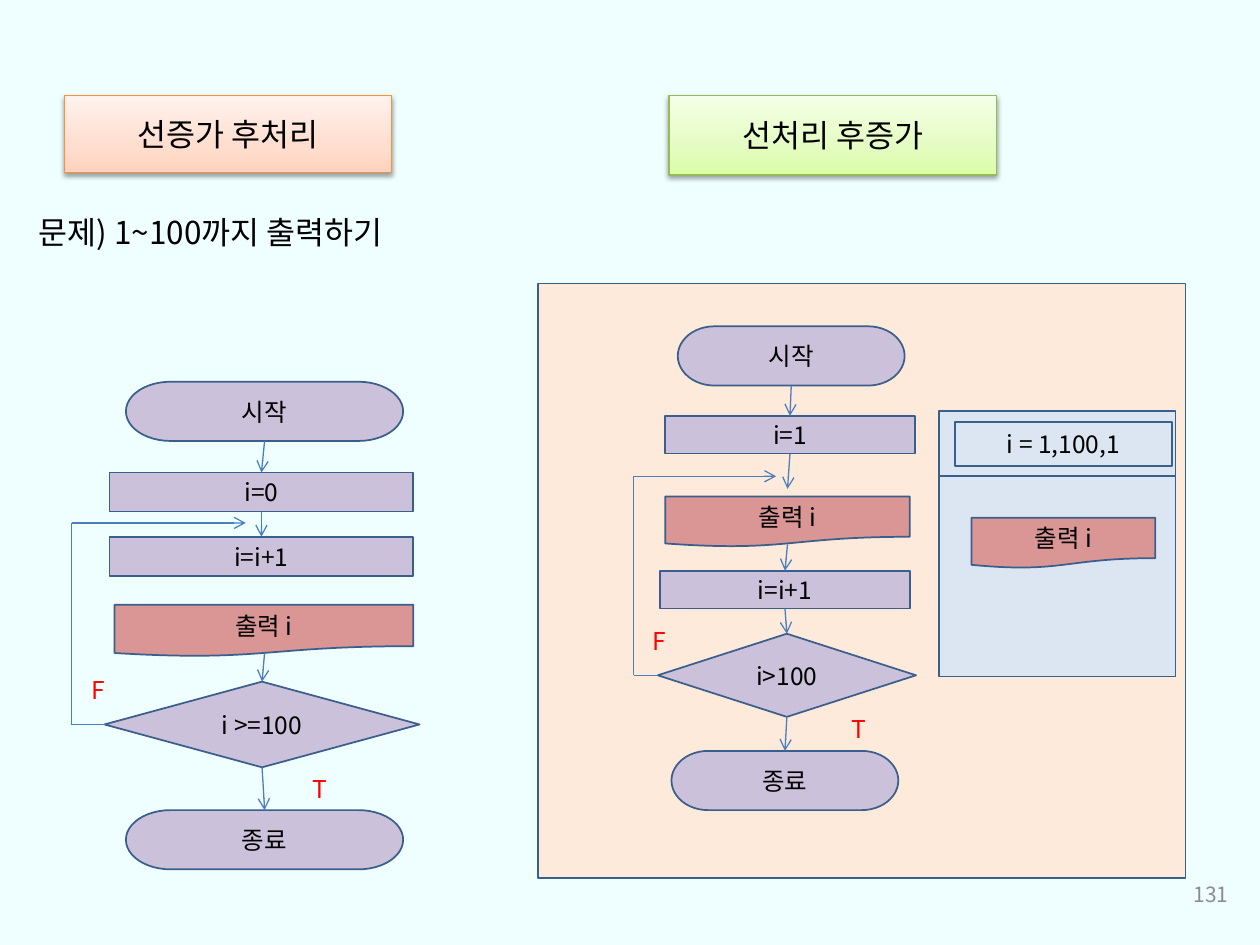
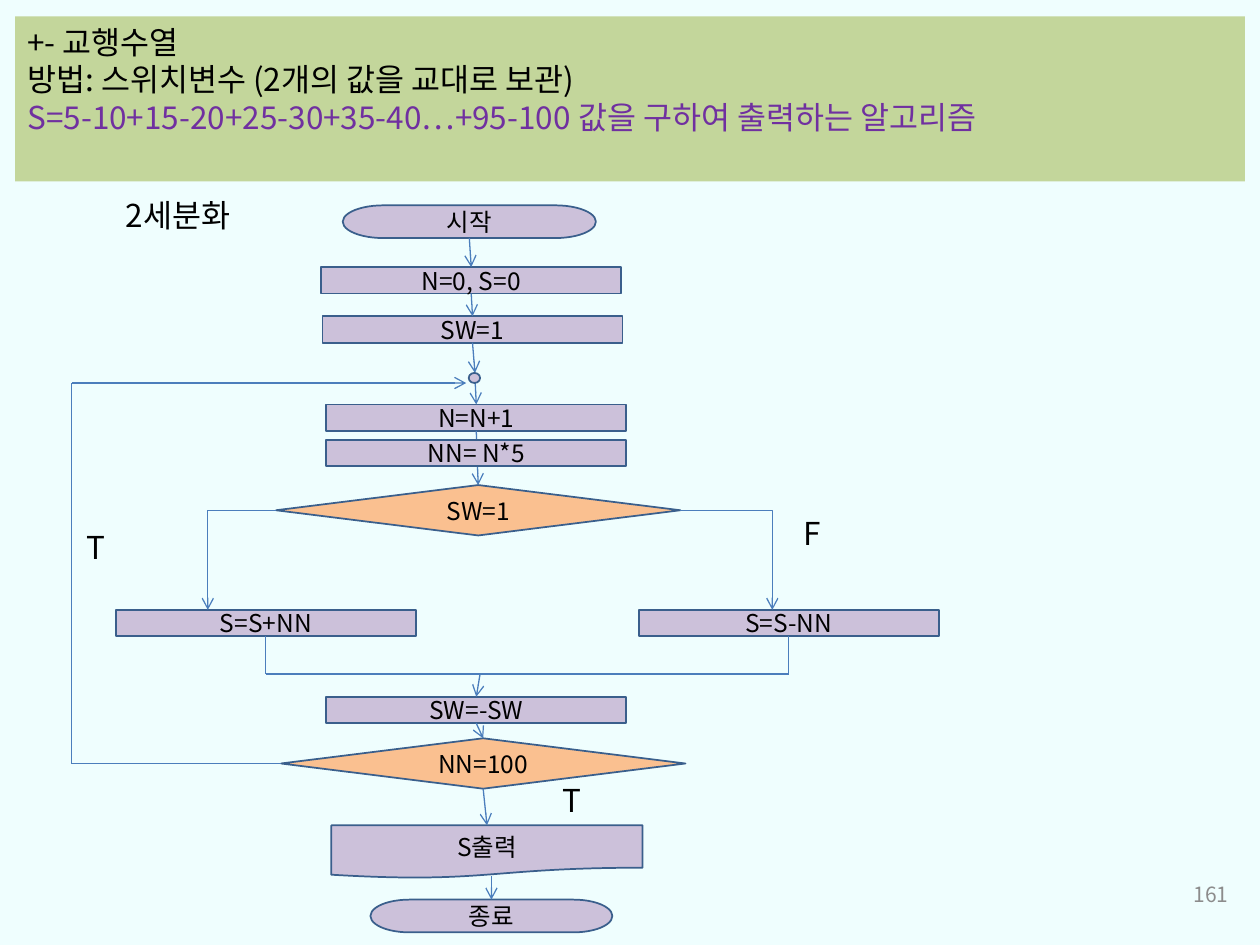
import copy

import lxml.etree
import pptx
import pptx.dml.color
import pptx.enum.shapes
import pptx.enum.text
import pptx.oxml.ns
import pptx.util

PX = 9144
FONT = "Noto Sans CJK KR"
NODE_SIZE = 14
COLOURS = {
    "page": "EFFEFE",
    "text": "000000",
    "number": "8C8C8C",
    "branch": "FF0000",
    "formula": "7030A0",
    "outline": "3A5F8C",
    "arrow": "4B7EBC",
    "step": "CCC1DA",
    "output": "D99694",
    "decision": "FAC090",
    "panel": "FDEADA",
    "loop": "DCE6F2",
    "band": "C3D69B",
    "orange_line": "F69240",
    "green_line": "98B955",
}
ORANGE = ("FFD2BD", "FFDED0", "FFF2ED")
GREEN = ("DAFDA7", "E4FCC2", "F5FFE7")
SHAPE = pptx.enum.shapes.MSO_SHAPE
CONNECTOR = pptx.enum.shapes.MSO_CONNECTOR
ALIGN = pptx.enum.text.PP_ALIGN
ANCHOR = pptx.enum.text.MSO_ANCHOR
TOP, LEFT, BOTTOM, RIGHT = range(4)


def rgb(name):
    return pptx.dml.color.RGBColor.from_string(COLOURS.get(name, name))


def add_xml(parent, tag, **attributes):
    return lxml.etree.SubElement(parent, pptx.oxml.ns.qn(tag), attributes)


def write_text(frame, text, size=18, colours=("text",), align=ALIGN.LEFT,
               anchor=ANCHOR.TOP, pitch=None):
    frame.word_wrap = True
    frame.vertical_anchor = anchor
    lines = text.split("\n")
    for index, line in enumerate(lines):
        paragraph = frame.paragraphs[0] if index == 0 else frame.add_paragraph()
        paragraph.alignment = align
        if pitch:
            paragraph.line_spacing = pptx.util.Pt(pitch)
        run = paragraph.add_run()
        run.text = line
        run.font.size = pptx.util.Pt(size)
        run.font.color.rgb = rgb(colours[min(index, len(colours) - 1)])
        run.font.name = FONT
        add_xml(run.font._element, "a:ea", typeface=FONT)


class FlowDeck:
    def __init__(self):
        self.deck = pptx.Presentation()
        self.deck.slide_width = 1000 * PX
        self.deck.slide_height = 750 * PX
        background = self.deck.slide_master.background.fill
        background.solid()
        background.fore_color.rgb = rgb("page")

    def page(self, number, label_size):
        self.slide = self.deck.slides.add_slide(self.deck.slide_layouts[6])
        self.label_size = label_size
        self.label(752, 690, 233, 40, number, size=12, colours=("number",),
                   align=ALIGN.RIGHT, anchor=ANCHOR.MIDDLE)

    def label(self, x, y, w, h, text, **style):
        area = self.slide.shapes.add_textbox(x * PX, y * PX, w * PX, h * PX)
        write_text(area.text_frame, text, **{"size": self.label_size, **style})

    def box(self, kind, x, y, w, h, text="", fill="step", line="outline", width=1, **style):
        box = self.slide.shapes.add_shape(kind, x * PX, y * PX, w * PX, h * PX)
        box.shadow.inherit = False
        box.fill.solid()
        box.fill.fore_color.rgb = rgb(fill)
        if line:
            box.line.color.rgb = rgb(line)
            box.line.width = pptx.util.Pt(width)
        else:
            box.line.fill.background()
        if text:
            write_text(box.text_frame, text, **{"size": NODE_SIZE, "align": ALIGN.CENTER,
                                               "anchor": ANCHOR.MIDDLE, **style})
        return box

    def terminal(self, *place):
        return self.box(SHAPE.FLOWCHART_TERMINATOR, *place)

    def process(self, *place):
        return self.box(SHAPE.FLOWCHART_PROCESS, *place)

    def decision(self, *place, fill="step"):
        return self.box(SHAPE.FLOWCHART_DECISION, *place, fill=fill)

    def output(self, *place, fill="output"):
        return self.box(SHAPE.FLOWCHART_DOCUMENT, *place, fill=fill)

    def heading(self, x, y, w, h, text, shades, line):
        plate = self.box(SHAPE.RECTANGLE, x, y, w, h, text, line=line, width=0.75, size=18)
        plate.fill.gradient()
        plate.fill.gradient_angle = 90
        properties = plate._element.spPr
        stops = properties.find(".//" + pptx.oxml.ns.qn("a:gsLst"))
        stops.insert(1, copy.deepcopy(stops[0]))
        for stop, shade, position in zip(plate.fill.gradient_stops, shades, (0, 0.35, 1)):
            stop.color.rgb = rgb(shade)
            stop.position = position
        effects = properties.find(pptx.oxml.ns.qn("a:effectLst"))
        shadow = add_xml(effects, "a:outerShdw", blurRad="39370", dist="20320",
                         dir="5400000", rotWithShape="0")
        tint = add_xml(shadow, "a:srgbClr", val="000000")
        add_xml(tint, "a:alpha", val="38000")

    def link(self, start, end, arrow=True, colour="arrow", width=0.75, bent=False):
        ends = [self.locate(start), self.locate(end)]
        kind = CONNECTOR.ELBOW if bent else CONNECTOR.STRAIGHT
        line = self.slide.shapes.add_connector(kind, *ends[0], *ends[1])
        properties = line._element.spPr
        if bent:
            properties.find(pptx.oxml.ns.qn("a:prstGeom")).set("prst", "bentConnector2")
        else:
            for point, connect in ((start, line.begin_connect), (end, line.end_connect)):
                if not isinstance(point[0], int):
                    connect(*point)
        line.line.color.rgb = rgb(colour)
        line.line.width = pptx.util.Pt(width)
        if arrow:
            add_xml(line.line._get_or_add_ln(), "a:tailEnd", type="arrow")
        add_xml(properties, "a:effectLst")

    def locate(self, point):
        if isinstance(point[0], int):
            return point[0] * PX, point[1] * PX
        box, side = point
        across = {LEFT: 0, RIGHT: box.width}.get(side, box.width // 2)
        down = {TOP: 0, BOTTOM: box.height}.get(side, box.height // 2)
        return box.left + across, box.top + down

    def route(self, *points, arrow=True):
        last = len(points) - 2
        for index, (start, end) in enumerate(zip(points, points[1:])):
            self.link(start, end, arrow=arrow and index == last)

    def chain(self, *pairs):
        for upper, lower in pairs:
            self.link((upper, BOTTOM), (lower, TOP))


def increment_first(flow):
    start = flow.terminal(100, 303, 220, 47, "시작")
    initial = flow.process(87, 375, 241, 31, "i=0")
    flow.output(91, 480, 237, 41, "출력 i")
    test = flow.decision(83, 541, 250, 68, "i >=100")
    increment = flow.process(87, 426, 241, 31, "i=i+1")
    finish = flow.terminal(100, 643, 220, 47, "종료")
    flow.chain((start, initial), (initial, increment), (test, finish))
    flow.link((210, 518), (test, TOP))
    flow.route((test, LEFT), (57, 575), (57, 415), (195, 415))
    flow.label(238, 609, 65, 38, "T", colours=("branch",))
    flow.label(63, 531, 65, 38, "F", colours=("branch",))


def process_first(flow):
    flow.box(SHAPE.RECTANGLE, 427, 225, 514, 472, fill="panel")
    start = flow.terminal(538, 259, 180, 47, "시작")
    initial = flow.process(528, 330, 198, 30, "i=1")
    flow.output(528, 394, 194, 40, "출력 i")
    test = flow.decision(522, 503, 205, 66, "i>100")
    increment = flow.process(524, 453, 198, 30, "i=i+1")
    finish = flow.terminal(533, 596, 180, 47, "종료")
    flow.chain((start, initial), (increment, test), (test, finish))
    flow.link((initial, BOTTOM), (625, 388))
    flow.link((625, 432), (increment, TOP))
    flow.route((test, LEFT), (503, 536), (503, 378), (616, 378))
    flow.label(666, 562, 53, 29, "T", colours=("branch",))
    flow.label(508, 492, 53, 29, "F", colours=("branch",))

    flow.box(SHAPE.RECTANGLE, 745, 326, 188, 211, fill="loop")
    flow.link((745, 378), (933, 378), arrow=False, colour="outline", width=1)
    flow.box(SHAPE.RECTANGLE, 758, 335, 172, 35, "i = 1,100,1", fill="loop")
    flow.output(771, 411, 146, 40, "출력 i")


def alternating_series(flow):
    flow.box(SHAPE.RECTANGLE, 12, 13, 976, 131,
             "+- 교행수열\n방법: 스위치변수 (2개의 값을 교대로 보관)\n"
             "S=5-10+15-20+25-30+35-40…+95-100 값을 구하여 출력하는 알고리즘",
             fill="band", line=None, size=18, colours=("text", "text", "formula"),
             align=ALIGN.LEFT, anchor=ANCHOR.TOP, pitch=21.6)
    flow.label(90, 151, 144, 40, "2세분화")

    start = flow.terminal(272, 163, 201, 26, "시작")
    initial = flow.process(255, 212, 238, 21, "N=0, S=0")
    switch_on = flow.process(256, 251, 238, 21, "SW=1")
    count = flow.process(259, 321, 238, 21, "N=N+1")
    switch_test = flow.decision(219, 385, 321, 40, "SW=1", fill="decision")
    flow.chain((start, initial), (initial, switch_on), (count, switch_test))
    flow.process(259, 349, 238, 21, "NN= N*5")
    flow.link((switch_on, BOTTOM), (377, 296))
    flow.link((377, 300), (count, TOP))
    flow.box(SHAPE.FLOWCHART_CONNECTOR, 372, 296, 9, 8)

    add = flow.process(92, 484, 238, 21, "S=S+NN")
    subtract = flow.process(507, 484, 238, 21, "S=S-NN")
    flow.link((switch_test, LEFT), (165, 484), bent=True)
    flow.link((switch_test, RIGHT), (613, 484), bent=True)
    flow.route((add, BOTTOM), (211, 535), (626, 535), (subtract, BOTTOM), arrow=False)

    switch_flip = flow.process(259, 553, 238, 21, "SW=-SW")
    end_test = flow.decision(223, 586, 321, 40, "NN=100", fill="decision")
    result = flow.output(263, 655, 247, 42, "S출력", fill="step")
    finish = flow.terminal(294, 714, 192, 26, "종료")
    flow.link((381, 535), (switch_flip, TOP))
    flow.chain((switch_flip, end_test), (end_test, result))
    flow.link((390, 695), (finish, TOP))
    flow.route((end_test, LEFT), (57, 606), (57, 304), (370, 304))
    for x, y, answer in ((437, 615, "T"), (59, 414, "T"), (628, 403, "F")):
        flow.label(x, y, 84, 40, answer)


def main():
    flow = FlowDeck()
    flow.page("131", label_size=14)
    flow.heading(51, 76, 260, 61, "선증가 후처리", ORANGE, "orange_line")
    flow.heading(531, 76, 260, 63, "선처리 후증가", GREEN, "green_line")
    flow.label(21, 164, 811, 40, "문제) 1~100까지 출력하기", size=18)
    increment_first(flow)
    process_first(flow)
    flow.page("161", label_size=18)
    alternating_series(flow)
    flow.deck.save("out.pptx")


if __name__ == "__main__":
    main()
